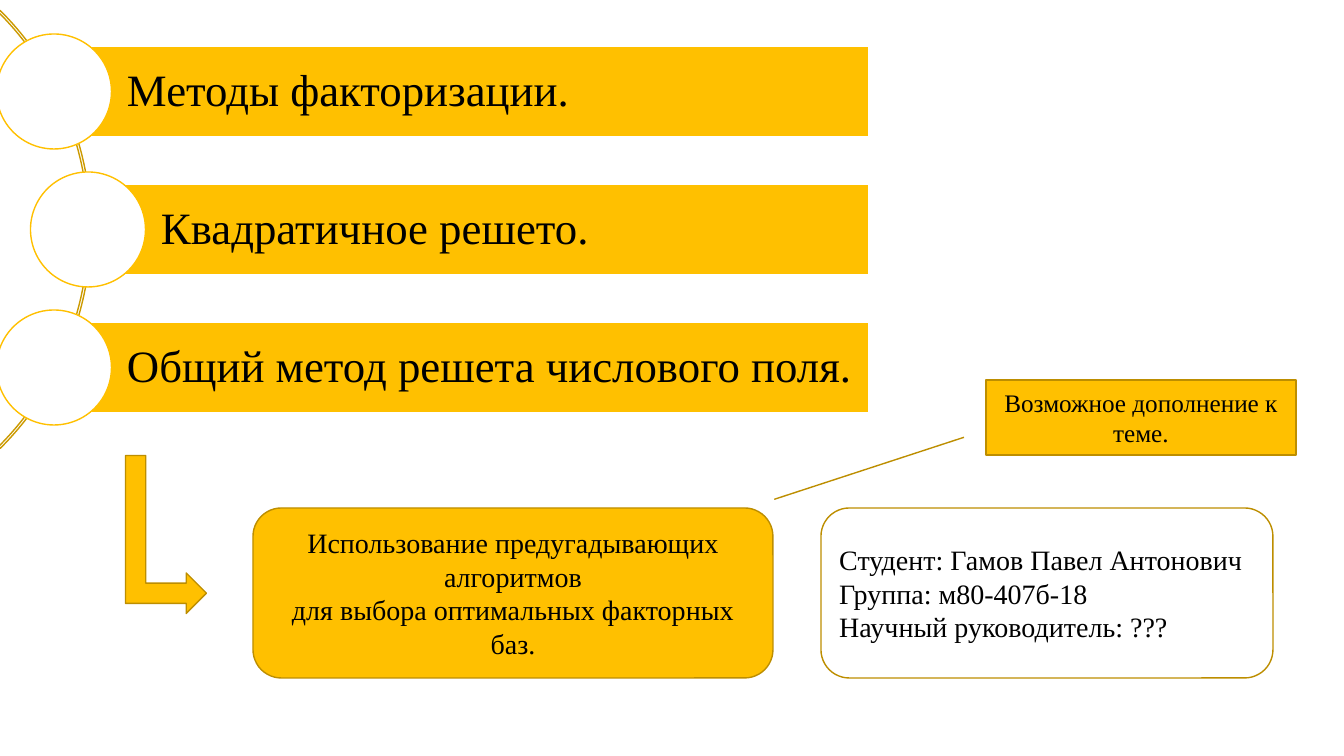
import pptx
import pptx.dml.color
import pptx.enum.shapes
import pptx.enum.text
import pptx.util

RGBColor = pptx.dml.color.RGBColor
MSO_SHAPE = pptx.enum.shapes.MSO_SHAPE
PP_ALIGN = pptx.enum.text.PP_ALIGN

GOLD = RGBColor(0xFF, 0xC0, 0x00)
DARK_GOLD = RGBColor(0xBD, 0x8E, 0x00)
ARC_GOLD = RGBColor(0xCC, 0x9A, 0x00)
WHITE = RGBColor(0xFF, 0xFF, 0xFF)
BLACK = RGBColor(0x00, 0x00, 0x00)
FONT = "Times New Roman"

# Topic and the left edge of its bar, in px
TOPICS = [
    ("Методы факторизации.", 54),
    ("Квадратичное решето.", 88),
    ("Общий метод решета числового поля.", 54),
]
PROPOSAL = [
    "Использование предугадывающих алгоритмов",
    "для выбора оптимальных факторных баз.",
]
AUTHOR = [
    "Студент: Гамов Павел Антонович",
    "Группа: м80-407б-18",
    "Научный руководитель: ???",
]
REMARK = ["Возможное дополнение к теме."]

BAR_TOP, BAR_HEIGHT, BAR_PITCH, BAR_RIGHT = 46, 91, 138, 869
CIRCLE_SIZE = 115
ARC_LEFT, ARC_SIZE = -528, 619
BOX_TOP, BOX_HEIGHT = 508, 170
EMU_PER_PX = 914400 / 100.8


def px(length):
    return pptx.util.Emu(round(length * EMU_PER_PX))


def add_figure(slide, kind, left, top, width, height, fill, line, adjustments=()):
    shape = slide.shapes.add_shape(kind, px(left), px(top), px(width), px(height))
    shape.shadow.inherit = False
    if fill is None:
        shape.fill.background()
    else:
        shape.fill.solid()
        shape.fill.fore_color.rgb = fill
    shape.line.color.rgb = line
    shape.line.width = pptx.util.Pt(1)
    for index, value in enumerate(adjustments):
        shape.adjustments[index] = value
    return shape


def write(shape, lines, size, alignment):
    frame = shape.text_frame
    frame.text = "\n".join(lines)
    frame.word_wrap = True
    frame.vertical_anchor = pptx.enum.text.MSO_ANCHOR.MIDDLE
    for paragraph in frame.paragraphs:
        paragraph.alignment = alignment
        for run in paragraph.runs:
            run.font.name = FONT
            run.font.size = pptx.util.Pt(size)
            run.font.color.rgb = BLACK


def add_topics(slide):
    """Draw the arc with a bar and a circle for each topic."""
    middle = BAR_TOP + BAR_PITCH * (len(TOPICS) - 1) / 2 + BAR_HEIGHT / 2
    add_figure(slide, MSO_SHAPE.BLOCK_ARC, ARC_LEFT, middle - ARC_SIZE / 2,
               ARC_SIZE, ARC_SIZE, None, ARC_GOLD, (189, 27, 0.004))
    for index, (topic, left) in enumerate(TOPICS):
        top = BAR_TOP + index * BAR_PITCH
        bar = add_figure(slide, MSO_SHAPE.RECTANGLE, left, top,
                         BAR_RIGHT - left, BAR_HEIGHT, GOLD, WHITE)
        write(bar, [topic], 32, PP_ALIGN.LEFT)
        frame = bar.text_frame
        frame.margin_left = px(73)
        frame.margin_right = frame.margin_top = frame.margin_bottom = px(9)
        frame.paragraphs[0].line_spacing = 0.9
        add_figure(slide, MSO_SHAPE.OVAL, left - CIRCLE_SIZE / 2,
                   top + (BAR_HEIGHT - CIRCLE_SIZE) / 2,
                   CIRCLE_SIZE, CIRCLE_SIZE, WHITE, GOLD)


def main():
    presentation = pptx.Presentation()
    presentation.slide_width = px(1344)
    presentation.slide_height = px(756)
    slide = presentation.slides.add_slide(presentation.slide_layouts[6])

    add_topics(slide)
    arrow = add_figure(slide, MSO_SHAPE.BENT_UP_ARROW, 87, 494, 158, 81, GOLD, DARK_GOLD)
    arrow.rotation = 90

    proposal = add_figure(slide, MSO_SHAPE.ROUNDED_RECTANGLE, 253, BOX_TOP,
                          520, BOX_HEIGHT, GOLD, DARK_GOLD)
    write(proposal, PROPOSAL, 20, PP_ALIGN.CENTER)
    author = add_figure(slide, MSO_SHAPE.ROUNDED_RECTANGLE, 821, BOX_TOP,
                        452, BOX_HEIGHT, WHITE, DARK_GOLD)
    write(author, AUTHOR, 20, PP_ALIGN.LEFT)
    remark = add_figure(slide, MSO_SHAPE.LINE_CALLOUT_1, 986, 380, 310, 75,
                        GOLD, DARK_GOLD, (0.765, -0.071, 1.592, -0.683))
    write(remark, REMARK, 18, PP_ALIGN.CENTER)

    presentation.save("out.pptx")


if __name__ == "__main__":
    main()
